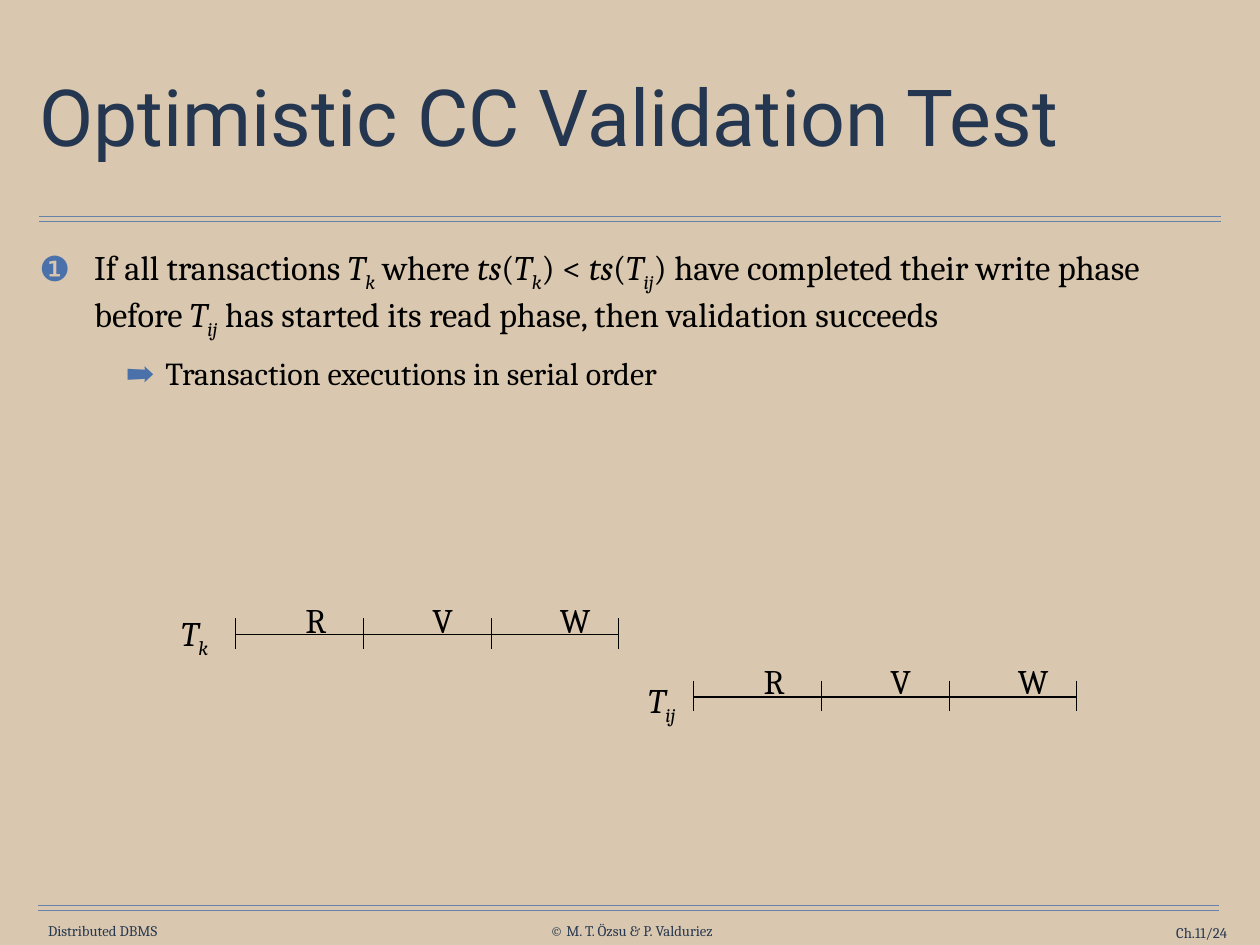
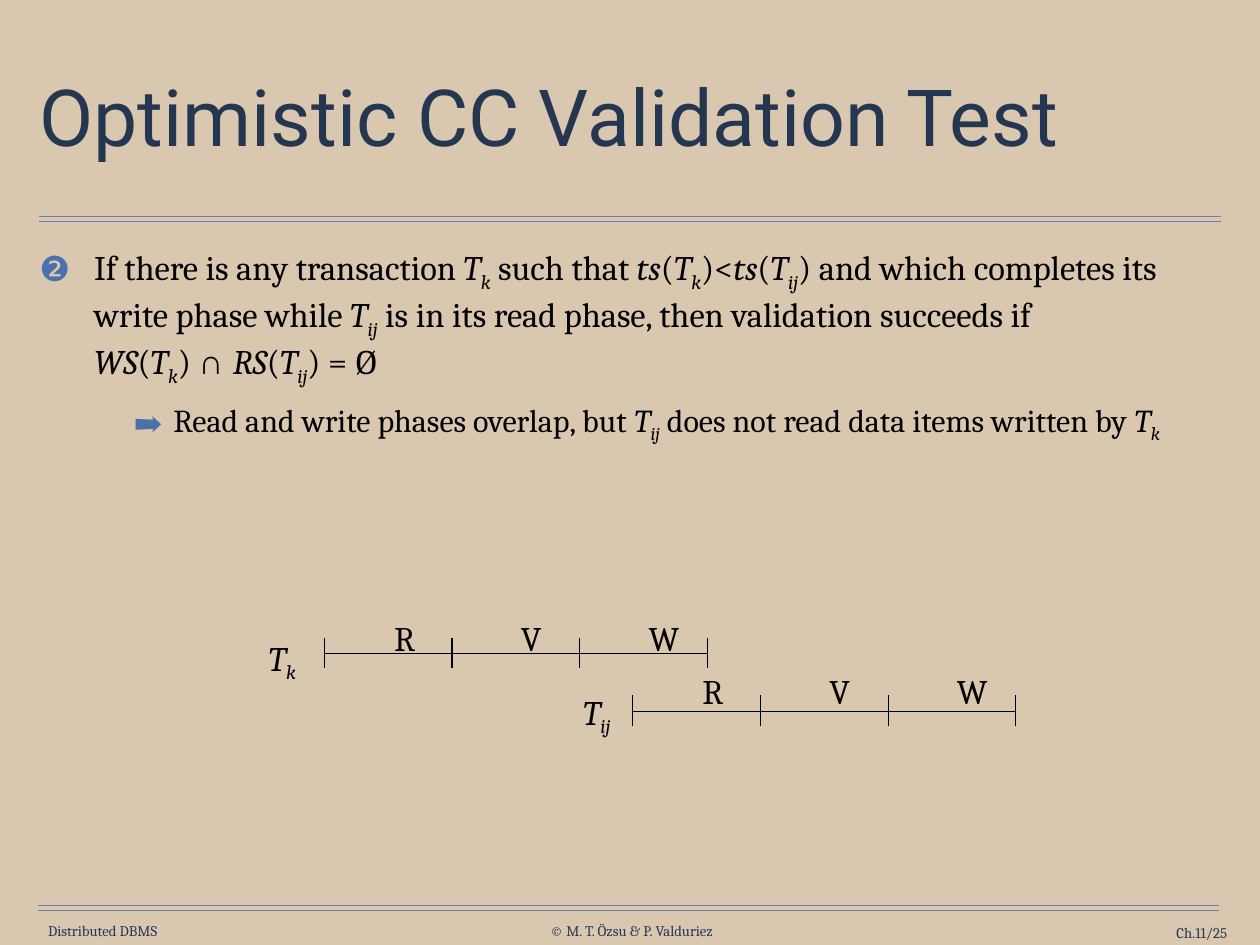
"""Two slides on the optimistic concurrency control validation test."""
from lxml import etree
from pptx import Presentation
from pptx import util as u
from pptx.dml.color import RGBColor
from pptx.enum import shapes, text
from pptx.oxml.ns import qn

Cm, Pt = u.Cm, u.Pt
COLOURS = {"sand": "D9C8AF", "rule": "6682AA", "footer": "263750",
           "title": "253750", "bullet": "4A71A9", "ink": "000000"}
LEFT, CENTER, RIGHT = text.PP_ALIGN.LEFT, text.PP_ALIGN.CENTER, text.PP_ALIGN.RIGHT
TITLE = "Optimistic CC Validation Test"
RULES = [(1.12, 35, 6.2), (1.12, 35, 6.35), (1.09, 34.95, 25.96), (1.09, 34.95, 26.11)]
PHASES = [("R", 2.3), ("V", 5.93), ("W", 9.73)]
PHASE_STEP = 3.66

# fmt: off
SLIDES = [
    {"page": "Ch.11/24", "sub_indent": 3.61,
     "points": [("❶", "If all transactions *T_k* where *ts*(*T_k*) < *ts*(*T_ij*) have completed "
                      "their write phase before *T_ij* has started its read phase, "
                      "then validation succeeds"),
                ("➡", "Transaction executions in serial order")],
     "timelines": [
         {"name": "*T_k*", "start": 6.76, "axis": 18.19, "phase_top": 16.99, "name_at": (5.58, 17.37)},
         {"name": "*T_ij*", "start": 19.89, "axis": 19.99, "phase_top": 18.75, "name_at": (18.97, 19.3)}]},
    {"page": "Ch.11/25", "sub_indent": 3.84,
     "points": [("❷", "If there is any transaction *T_k* such that *ts*(*T_k*)<*ts*(*T_ij*) and "
                      "which completes its write phase while *T_ij* is in its read phase, "
                      "then validation succeeds if\n*WS*(*T_k*) **∩ *RS*(*T_ij*) = Ø"),
                ("➡", "Read and write phases overlap, but *T_ij* does not read data items "
                      "written by *T_k*")],
     "timelines": [
         {"name": "*T_k*", "start": 9.3, "axis": 18.75, "phase_top": 17.53, "name_at": (8.09, 18.08)},
         {"name": "*T_ij*", "start": 18.14, "axis": 20.4, "phase_top": 19.05, "name_at": (17.11, 19.63)}]},
]
# fmt: on


def draw_line(slide, x1, y1, x2, y2, colour):
    line = slide.shapes.add_connector(
        shapes.MSO_CONNECTOR.STRAIGHT, Cm(x1), Cm(y1), Cm(x2), Cm(y2))
    line.line.color.rgb = RGBColor.from_string(COLOURS[colour])
    line.line.width = Pt(1)
    etree.SubElement(line._element.spPr, qn("a:effectLst"))


def write(paragraph, markup, size, colour, align=LEFT, font="Cambria"):
    paragraph.alignment = align
    paragraph.font.name = font
    paragraph.font.size = Pt(size)
    paragraph.font.color.rgb = RGBColor.from_string(COLOURS[colour])
    for index, part in enumerate(markup.split("*")):
        base, _, subscript = part.partition("_")
        for piece, lowered in ((base, False), (subscript, True)):
            if not piece:
                continue
            run = paragraph.add_run()
            run.text = piece.rstrip("\n")
            if index % 2:
                run.font.italic = True
            if lowered:
                run._r.get_or_add_rPr().set("baseline", "-25000")
            if "∩" in piece:
                run.font.name = "Arial"
            if piece.endswith("\n"):
                paragraph.add_line_break()


prs = Presentation()
prs.slide_width, prs.slide_height = Cm(36.12), Cm(27.1)
background = prs.slide_master.background.fill
background.solid()
background.fore_color.rgb = RGBColor.from_string(COLOURS["sand"])

for content in SLIDES:
    slide = prs.slides.add_slide(prs.slide_layouts[1])
    for left, right, y in RULES:
        draw_line(slide, left, y, right, y, "rule")

    title, body = slide.placeholders
    for holder, top, height, anchor in ((title, 1.24, 4.47, text.MSO_ANCHOR.MIDDLE),
                                        (body, 6.91, 18.8, text.MSO_ANCHOR.TOP)):
        holder.left, holder.top = Cm(0.98), Cm(top)
        holder.width, holder.height = Cm(34.14), Cm(height)
        frame = holder.text_frame
        frame.auto_size = text.MSO_AUTO_SIZE.NONE
        frame.vertical_anchor = anchor
        frame.margin_left = frame.margin_right = Cm(0.15)
        frame.margin_top = frame.margin_bottom = Cm(0.15)

    heading = title.text_frame.paragraphs[0]
    heading.line_spacing = 0.9
    write(heading, TITLE, 64, "title", font="Roboto")

    for level, (bullet, markup) in enumerate(content["points"]):
        point = body.text_frame.add_paragraph() if level else body.text_frame.paragraphs[0]
        point.level = level
        point.space_before = Pt(11 if level else 0)
        indent, hanging = (content["sub_indent"], 1.12) if level else (1.57, 1.57)
        properties = point._p.get_or_add_pPr()
        properties.set("marL", str(Cm(indent)))
        properties.set("indent", str(-Cm(hanging)))
        bullet_colour = etree.SubElement(properties, qn("a:buClr"))
        etree.SubElement(bullet_colour, qn("a:srgbClr"), val=COLOURS["bullet"])
        etree.SubElement(properties, qn("a:buSzPct"), val="85000" if level else "100000")
        etree.SubElement(properties, qn("a:buChar"), char=bullet)
        write(point, markup, 26 if level else 28, "ink")

    labels = [("Distributed DBMS", 1.19, 26.44, 3.51, 0.51, 12, "footer", CENTER),
              ("© M. T. Özsu & P. Valduriez", 15.47, 26.44, 5.28, 0.51, 12, "footer", CENTER),
              (content["page"], 31.27, 26.49, 3.91, 0.51, 12, "footer", RIGHT)]

    for timeline in content["timelines"]:
        start, axis = timeline["start"], timeline["axis"]
        draw_line(slide, start, axis, start + 3 * PHASE_STEP, axis, "ink")
        for tick in range(4):
            x = start + tick * PHASE_STEP
            draw_line(slide, x, axis - 0.46, x, axis + 0.41, "ink")
        centres = [(phase, start + offset, timeline["phase_top"]) for phase, offset in PHASES]
        centres.append((timeline["name"], *timeline["name_at"]))
        labels += [(markup, x - 0.8, top, 1.6, 1.55, 28, "ink", CENTER)
                   for markup, x, top in centres]

    for markup, left, top, width, height, size, colour, align in labels:
        frame = slide.shapes.add_textbox(Cm(left), Cm(top), Cm(width), Cm(height)).text_frame
        is_footer = colour == "footer"
        frame.word_wrap = align == RIGHT
        frame.vertical_anchor = text.MSO_ANCHOR.MIDDLE if is_footer else text.MSO_ANCHOR.TOP
        frame.margin_left = frame.margin_right = Cm(0 if is_footer else 0.36)
        frame.margin_top = frame.margin_bottom = Cm(0 if is_footer else 0.18)
        write(frame.paragraphs[0], markup, size, colour, align)

prs.save("out.pptx")
